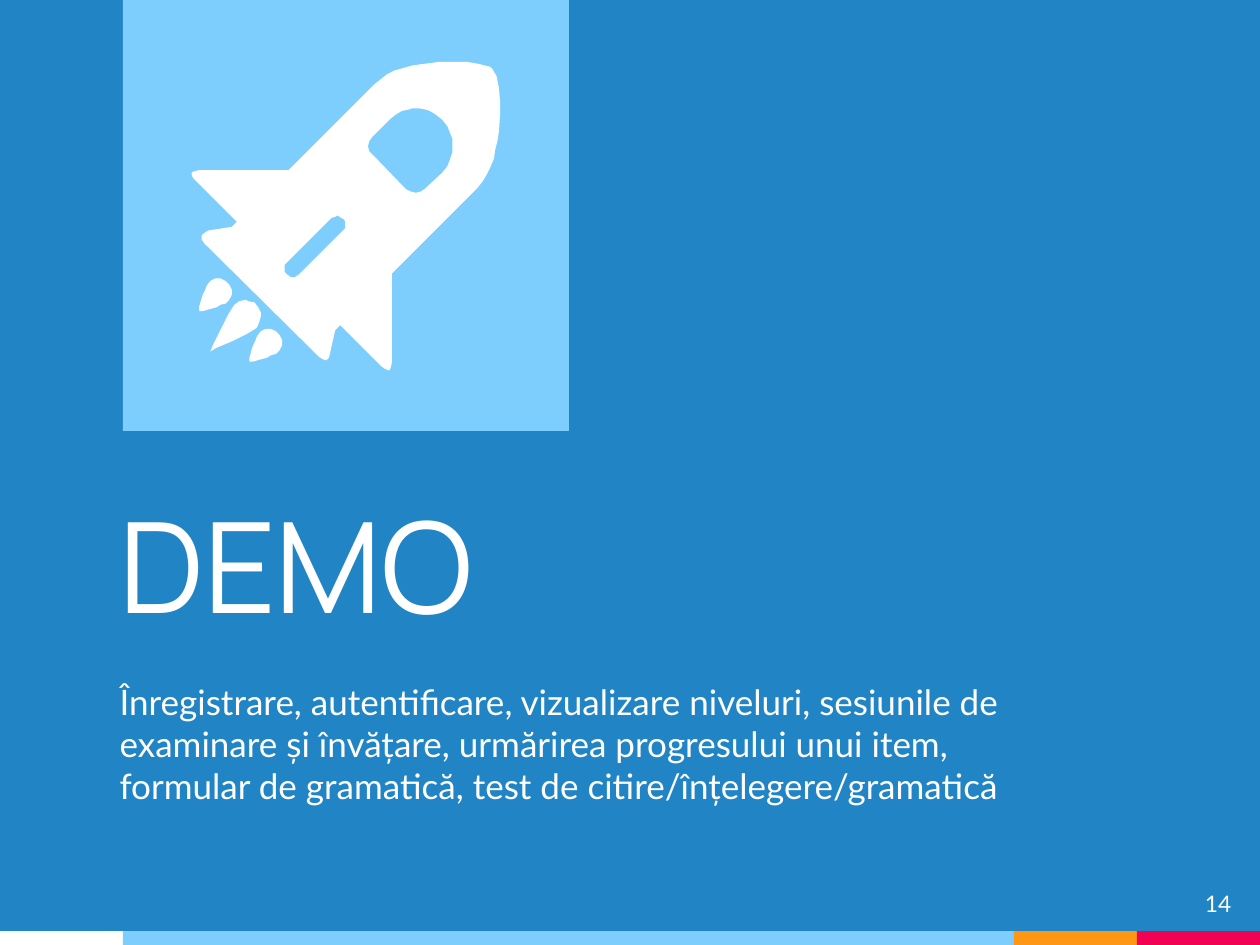
from dataclasses import dataclass

import pptx
import pptx.dml.color
import pptx.enum.shapes
import pptx.enum.text
import pptx.util

Cm = pptx.util.Cm
Pt = pptx.util.Pt
RGBColor = pptx.dml.color.RGBColor
ALIGN = pptx.enum.text.PP_ALIGN
ANCHOR = pptx.enum.text.MSO_ANCHOR

BLUE = RGBColor(0x21, 0x85, 0xC5)
SKY = RGBColor(0x7E, 0xCE, 0xFD)
ORANGE = RGBColor(0xFF, 0x97, 0x15)
PINK = RGBColor(0xF2, 0x02, 0x53)
WHITE = RGBColor(0xFF, 0xFF, 0xFF)

ICON_UNIT = Cm(2.54) / 100

WINDOW = [
    (333, 86), (338, 87), (341, 88), (346, 91), (351, 95), (355, 100), (357, 105),
    (359, 110), (359, 121), (357, 127), (355, 132), (351, 137), (337, 150), (334, 152),
    (330, 153), (326, 152), (322, 150), (296, 123), (293, 120), (292, 116), (293, 112),
    (296, 108), (309, 95), (314, 91), (319, 88), (324, 87), (327, 86),
]
SLOT = [
    (268, 171), (271, 173), (273, 174), (274, 176), (274, 181), (272, 183), (237, 218),
    (234, 220), (231, 220), (228, 218), (226, 216), (226, 210), (228, 208), (263, 173),
    (266, 172),
]
HULL = [
    (357, 49), (349, 49), (342, 50), (334, 51), (327, 52), (320, 54), (313, 56),
    (307, 59), (302, 63), (297, 67), (229, 135), (158, 135), (154, 136), (152, 137),
    (152, 138), (153, 141), (155, 143), (188, 176), (184, 180), (165, 183), (162, 185),
    (160, 187), (160, 190), (162, 193), (253, 283), (256, 285), (259, 286), (261, 284),
    (262, 280), (266, 262), (270, 258), (303, 291), (306, 293), (309, 294), (310, 292),
    (311, 288), (311, 217), (379, 149), (383, 144), (386, 139), (389, 133), (392, 126),
    (393, 119), (395, 111), (396, 104), (397, 89), (397, 82), (396, 70), (395, 65),
    (394, 60), (392, 57), (391, 55), (389, 53), (385, 52), (381, 51), (376, 50),
    (370, 49),
]
LARGE_FLAME = [
    (195, 238), (190, 239), (186, 242), (184, 245), (181, 250), (175, 262), (169, 274),
    (167, 279), (172, 276), (184, 271), (196, 265), (201, 262), (204, 260), (206, 255),
    (207, 251), (207, 248), (205, 244), (202, 240), (197, 239),
]
SMALL_FLAME = [
    (171, 221), (167, 223), (164, 227), (163, 230), (161, 234), (160, 237), (158, 244),
    (158, 247), (161, 247), (168, 245), (172, 244), (175, 242), (179, 241), (182, 238),
    (184, 234), (184, 230), (182, 226), (179, 223), (175, 221),
]


@dataclass
class Box:
    left: float
    top: float
    width: float
    height: float


@dataclass
class Bar:
    width: float
    color: RGBColor


@dataclass
class Label:
    text: str
    box: Box
    font: str
    size: int
    align: ALIGN = ALIGN.LEFT
    anchor: ANCHOR = ANCHOR.TOP
    space_before: int = 0


TITLE = Label("DEMO", Box(2.16, 8.84, 18.39, 4.29), "Manrope", 72, anchor=ANCHOR.BOTTOM)
SUBTITLE = Label(
    "Înregistrare, autentificare, vizualizare niveluri, sesiunile de examinare și "
    "învățare, urmărirea progresului unui item, formular de gramatică, test de "
    "citire/înțelegere/gramatică",
    Box(2.16, 13.46, 19.13, 4.22), "Lato", 20, space_before=6,
)
PAGE_NUMBER = Label("14", Box(23.55, 17.68, 1.52, 1.17), "Lato", 13, ALIGN.RIGHT)
BARS = [Bar(2.48, WHITE), Bar(17.96, SKY), Bar(2.48, ORANGE), Bar(2.48, PINK)]


def paint(sp, color: RGBColor) -> None:
    sp.shadow.inherit = False
    sp.fill.solid()
    sp.fill.fore_color.rgb = color
    sp.line.fill.background()


def draw_rect(s, box: Box, color: RGBColor) -> None:
    sp = s.shapes.add_shape(
        pptx.enum.shapes.MSO_SHAPE.RECTANGLE,
        Cm(box.left), Cm(box.top), Cm(box.width), Cm(box.height),
    )
    paint(sp, color)


def draw_outline(group, contours: list) -> None:
    first, *holes = contours
    builder = group.shapes.build_freeform(*first[0], scale=ICON_UNIT)
    builder.add_line_segments(first[1:], close=True)
    for hole in holes:
        builder.move_to(*hole[0])
        builder.add_line_segments(hole[1:], close=True)
    paint(builder.convert_to_shape(), WHITE)


def write_label(sp, label: Label) -> None:
    box = label.box
    sp.left, sp.top = Cm(box.left), Cm(box.top)
    sp.width, sp.height = Cm(box.width), Cm(box.height)
    tf = sp.text_frame
    tf.word_wrap = True
    tf.auto_size = pptx.enum.text.MSO_AUTO_SIZE.NONE
    tf.vertical_anchor = label.anchor
    tf.margin_left = tf.margin_right = tf.margin_top = tf.margin_bottom = Cm(0.25)
    p = tf.paragraphs[0]
    p.alignment = label.align
    p.space_before = Pt(label.space_before)
    r = p.add_run()
    r.text = label.text
    r.font.name = label.font
    r.font.size = Pt(label.size)
    r.font.color.rgb = WHITE


def main() -> None:
    prs = pptx.Presentation()
    prs.slide_width, prs.slide_height = Cm(25.4), Cm(19.05)
    s = prs.slides.add_slide(prs.slide_layouts[0])
    s.background.fill.solid()
    s.background.fill.fore_color.rgb = BLUE

    left = 0
    for bar in BARS:
        draw_rect(s, Box(left, 18.77, bar.width, 0.28), bar.color)
        left += bar.width
    draw_rect(s, Box(2.48, 0, 8.99, 8.69), SKY)

    write_label(s.shapes.title, TITLE)
    write_label(s.placeholders[1], SUBTITLE)

    rocket = s.shapes.add_group_shape()
    draw_outline(rocket, [HULL, WINDOW, SLOT])
    draw_outline(rocket, [LARGE_FLAME])
    for shift in (0, 40):
        draw_outline(rocket, [[(x + shift, y + shift) for x, y in SMALL_FLAME]])

    write_label(s.shapes.add_textbox(0, 0, 0, 0), PAGE_NUMBER)
    prs.save("out.pptx")


if __name__ == "__main__":
    main()
